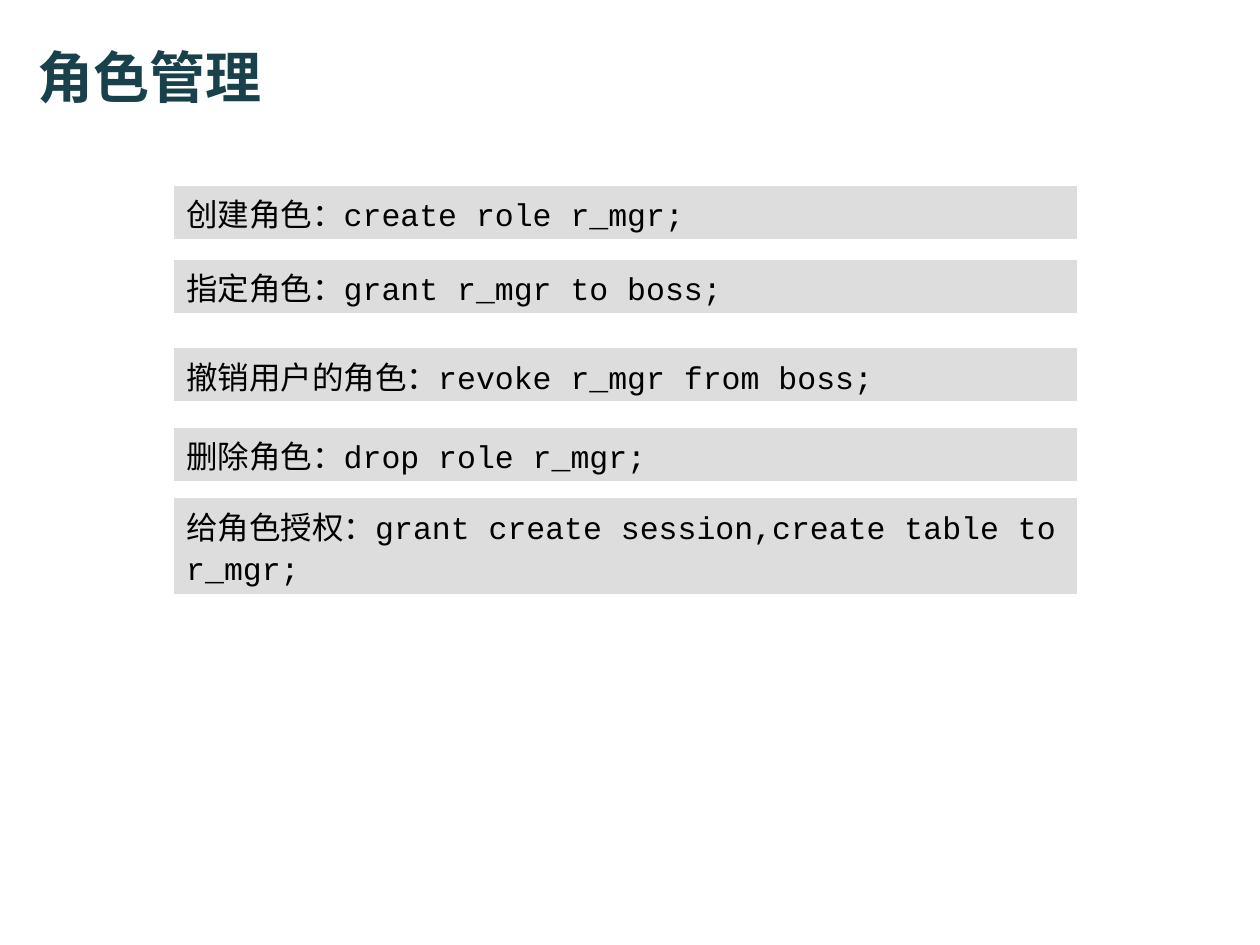
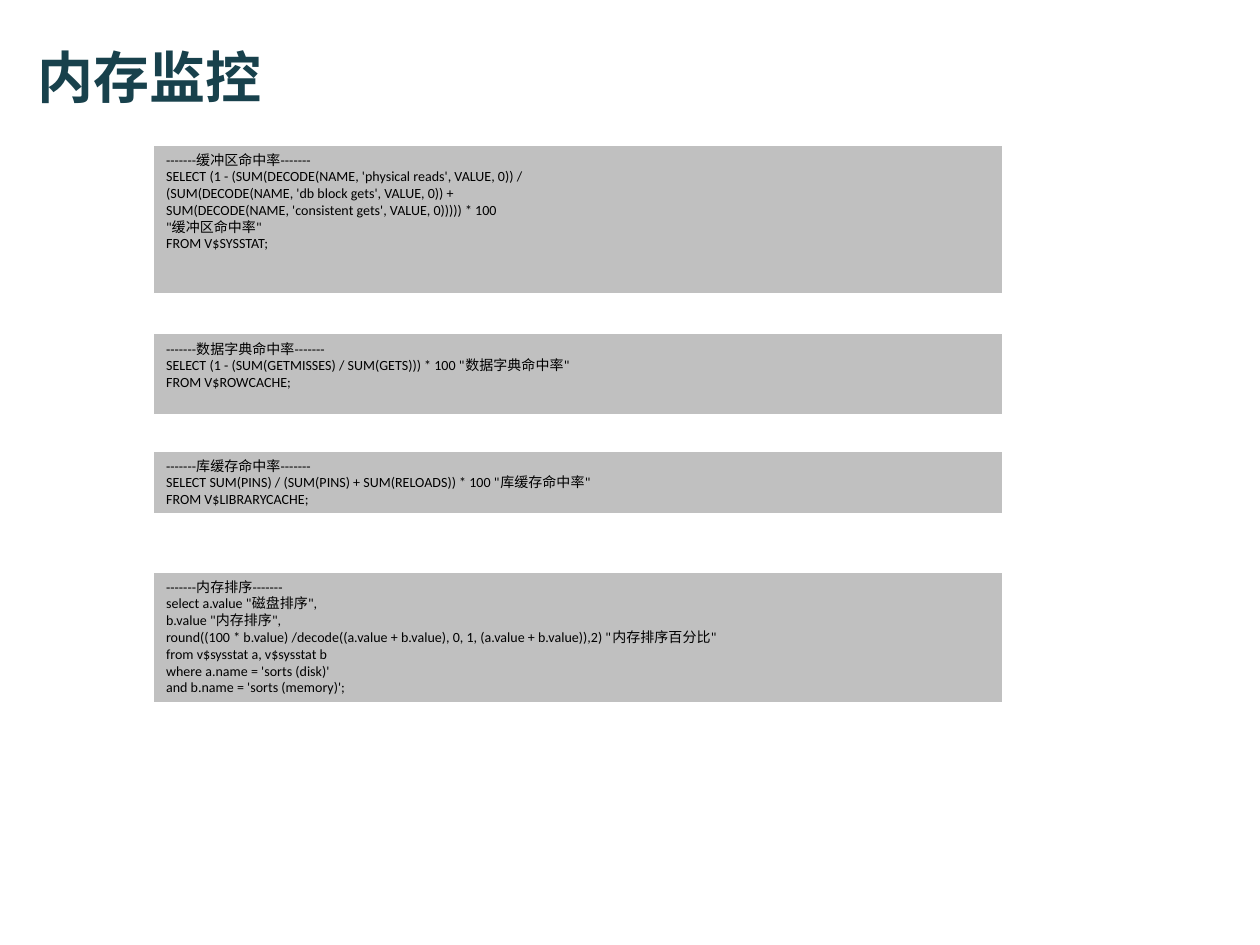
import copy
import pptx
import pptx.dml.color
import pptx.enum.shapes
import pptx.enum.text
import pptx.oxml.ns
import pptx.util
from lxml import etree

Inches = pptx.util.Inches
Pt = pptx.util.Pt
ALIGN = pptx.enum.text.PP_ALIGN
ANCHOR = pptx.enum.text.MSO_ANCHOR
RECT = pptx.enum.shapes.MSO_SHAPE.RECTANGLE
qn = pptx.oxml.ns.qn

HAN = "Noto Sans CJK SC"
TEAL, BLACK, WHITE = "18414C", "000000", "FFFFFF"
PALE, GREY = "DDDDDD", "C0C0C0"

ROLES = [
    (1.47, 0.43, "创建角色：create role r_mgr;"),
    (2.06, 0.43, "指定角色：grant r_mgr to boss;"),
    (2.76, 0.43, "撤销用户的角色：revoke r_mgr from boss;"),
    (3.39, 0.43, "删除角色：drop role r_mgr;"),
    (3.95, 0.77, "给角色授权：grant create session,create table to r_mgr;"),
]

QUERIES = [
    (1.15, 1.18, "缓冲区命中率", """SELECT (1 - (SUM(DECODE(NAME, 'physical reads', VALUE, 0)) /
(SUM(DECODE(NAME, 'db block gets', VALUE, 0)) +
SUM(DECODE(NAME, 'consistent gets', VALUE, 0))))) * 100
"缓冲区命中率"
FROM V$SYSSTAT;"""),
    (2.65, 0.64, "数据字典命中率", """SELECT (1 - (SUM(GETMISSES) / SUM(GETS))) * 100 "数据字典命中率"
FROM V$ROWCACHE;"""),
    (3.58, 0.5, "库缓存命中率", """SELECT SUM(PINS) / (SUM(PINS) + SUM(RELOADS)) * 100 "库缓存命中率"
FROM V$LIBRARYCACHE;"""),
    (4.54, 1.04, "内存排序", """select a.value "磁盘排序",
b.value "内存排序",
round((100 * b.value) /decode((a.value + b.value), 0, 1, (a.value + b.value)),2) "内存排序百分比"
from v$sysstat a, v$sysstat b
where a.name = 'sorts (disk)'
and b.name = 'sorts (memory)';"""),
]


def color(code):
    return pptx.dml.color.RGBColor.from_string(code)


def write(frame, *texts, font=HAN, size=18, ink=BLACK, bold=False,
          anchor=ANCHOR.TOP, space=None, after=None):
    frame.word_wrap = True
    frame.auto_size = pptx.enum.text.MSO_AUTO_SIZE.NONE
    frame.vertical_anchor = anchor
    for i, text in enumerate(texts):
        para = frame.add_paragraph() if i else frame.paragraphs[0]
        para.text = text
        para.alignment = ALIGN.LEFT
        para.line_spacing = space
        para.space_after = after
        for run in para.runs:
            run.font.name = font
            run.font.size = Pt(size)
            run.font.bold = bold
            run.font.color.rgb = color(ink)
            props = run.font._element
            etree.SubElement(props, qn("a:ea")).set("typeface", HAN)
        for stop in para._p.findall(qn("a:br")):
            stop.append(copy.deepcopy(props))


def place(shape, box):
    shape.left, shape.top, shape.width, shape.height = map(Inches, box)


def start(deck, title):
    slide = deck.slides.add_slide(deck.slide_layouts[5])
    place(slide.shapes.title, (0.2, 0.21, 8.8, 0.79))
    write(slide.shapes.title.text_frame, title, size=32, ink=TEAL,
          bold=True, anchor=ANCHOR.MIDDLE)
    return slide


def panel(slide, box, fill, *texts, **style):
    shape = slide.shapes.add_shape(RECT, *map(Inches, box))
    shape.shadow.inherit = False
    shape.fill.solid()
    shape.fill.fore_color.rgb = color(fill)
    shape.line.color.rgb = color(WHITE)
    shape.line.width = Pt(0.75)
    write(shape.text_frame, *texts, **style)


def roles(deck, left, width):
    slide = start(deck, "角色管理")
    for top, height, text in ROLES:
        panel(slide, (left, top, width, height), PALE, text,
              font="Courier New", space=1.1, after=Pt(5))


def memory(deck, left, width):
    slide = start(deck, "内存监控")
    dash = "-" * 7
    for top, height, name, query in QUERIES:
        panel(slide, (left, top, width, height), GREY,
              dash + name + dash, query, font="Calibri", size=8)


def main():
    deck = pptx.Presentation()
    deck.slide_width, deck.slide_height = Inches(10), Inches(7.5)
    roles(deck, 1.38, 7.17)
    memory(deck, 1.22, 6.74)
    deck.save("out.pptx")


if __name__ == "__main__":
    main()
